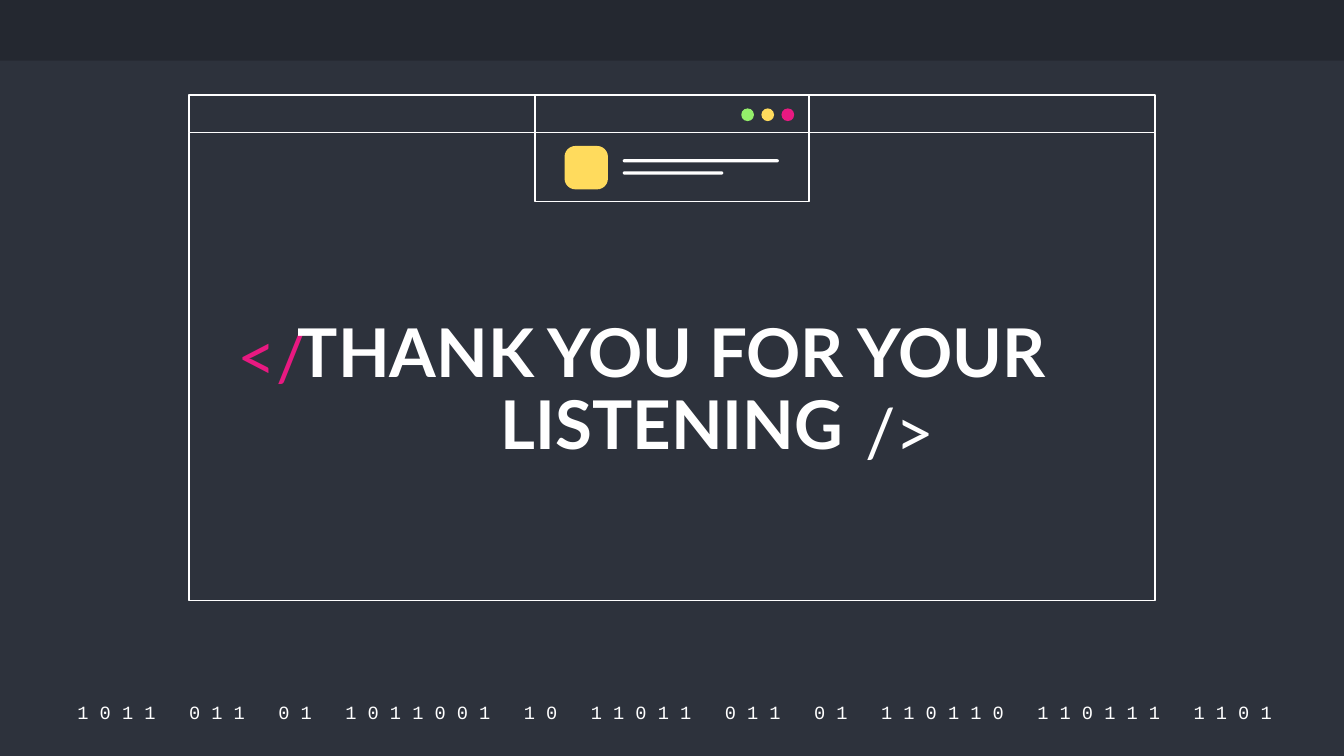
from dataclasses import dataclass

from pptx import Presentation
from pptx.dml.color import RGBColor
from pptx.enum.shapes import MSO_SHAPE
from pptx.enum.text import MSO_ANCHOR, MSO_AUTO_SIZE, PP_ALIGN
from pptx.util import Cm, Pt

COLORS = {
    "background": "2D323C",
    "band": "242830",
    "white": "FFFFFF",
    "pink": "E81981",
    "yellow": "FFDB5D",
    "green": "94EE6B",
}
SLIDE_WIDTH, SLIDE_HEIGHT = 25.4, 14.29
WINDOW_TOP, BAR_HEIGHT = 1.8, 0.71
DOT_SIZE, DOT_STEP = 0.24, 0.38
BINARY_GROUPS = "1011 011 01 1011001 10 11011 011 01 110110 110111 1101".split()


@dataclass
class Area:
    left: float
    top: float
    width: float
    height: float

    def lengths(self) -> tuple:
        return Cm(self.left), Cm(self.top), Cm(self.width), Cm(self.height)


@dataclass
class Window:
    width: float
    height: float


def color(name: str) -> RGBColor:
    return RGBColor.from_string(COLORS[name])


def draw_shape(page, kind, area: Area, fill: str, line: str = "", rounding: float = 0):
    shape = page.shapes.add_shape(kind, *area.lengths())
    shape.shadow.inherit = False
    shape.fill.solid()
    shape.fill.fore_color.rgb = color(fill)
    if line:
        shape.line.color.rgb = color(line)
        shape.line.width = Pt(0.75)
    else:
        shape.line.fill.background()
    if rounding:
        shape.adjustments[0] = rounding
    return shape


def draw_window(page, window: Window) -> None:
    left = (SLIDE_WIDTH - window.width) / 2
    bar = Area(left, WINDOW_TOP, window.width, BAR_HEIGHT)
    body = Area(left, WINDOW_TOP + BAR_HEIGHT, window.width, window.height - BAR_HEIGHT)
    for area in (body, bar):
        draw_shape(page, MSO_SHAPE.RECTANGLE, area, "background", "white")


def write_text(box, text: str, *, size: float = 36, font: str = "Lato", ink: str = "white",
               bold: bool = False, align=PP_ALIGN.LEFT, spacing: float = 0.9) -> None:
    frame = box.text_frame
    frame.word_wrap = True
    frame.auto_size = MSO_AUTO_SIZE.NONE
    frame.vertical_anchor = MSO_ANCHOR.MIDDLE
    frame.margin_left = frame.margin_right = Cm(0.25)
    frame.margin_top = frame.margin_bottom = Cm(0.25)
    para = frame.paragraphs[0]
    para.alignment = align
    para.line_spacing = spacing
    para.space_before = Pt(0)
    span = para.add_run()
    span.text = text
    span.font.name = font
    span.font.size = Pt(size)
    span.font.bold = bold
    span.font.color.rgb = color(ink)


def draw_text(page, area: Area, text: str, **style) -> None:
    write_text(page.shapes.add_textbox(*area.lengths()), text, **style)


def place_title(page, area: Area, text: str) -> None:
    title = page.shapes.title
    title.left, title.top, title.width, title.height = area.lengths()
    write_text(title, text, bold=True, align=PP_ALIGN.CENTER)
    page.shapes._spTree.append(title._element)


def draw_card_content(page) -> None:
    draw_shape(page, MSO_SHAPE.ROUNDED_RECTANGLE, Area(10.67, 2.76, 0.82, 0.82), "yellow", rounding=0.25)
    for top, width in ((3.01, 2.95), (3.24, 1.9)):
        draw_shape(page, MSO_SHAPE.ROUNDED_RECTANGLE, Area(11.77, top, width, 0.06), "white", rounding=0.5)
    for index, fill in enumerate(("green", "yellow", "pink")):
        area = Area(14.01 + index * DOT_STEP, 2.05, DOT_SIZE, DOT_SIZE)
        draw_shape(page, MSO_SHAPE.OVAL, area, fill)


def main() -> None:
    deck = Presentation()
    deck.slide_width, deck.slide_height = Cm(SLIDE_WIDTH), Cm(SLIDE_HEIGHT)
    page = deck.slides.add_slide(deck.slide_layouts[5])
    page.background.fill.solid()
    page.background.fill.fore_color.rgb = color("background")

    draw_shape(page, MSO_SHAPE.RECTANGLE, Area(0, 0, SLIDE_WIDTH, 1.15), "band")
    binary = "   ".join(" ".join(group) for group in BINARY_GROUPS)
    draw_text(page, Area(0.97, 13.21, 23.55, 0.51), binary, size=10,
              font="Courier New", align=PP_ALIGN.CENTER, spacing=1.0)

    draw_window(page, Window(18.26, 9.55))
    draw_text(page, Area(4.24, 5.97, 1.96, 1.68), "</", ink="pink")
    draw_text(page, Area(16.1, 7.39, 1.96, 1.68), "/>")
    place_title(page, Area(4.24, 3.81, 16.92, 7.19), "THANK YOU FOR YOUR LISTENING")
    draw_window(page, Window(5.18, 2.01))
    draw_card_content(page)
    deck.save("out.pptx")


if __name__ == "__main__":
    main()
